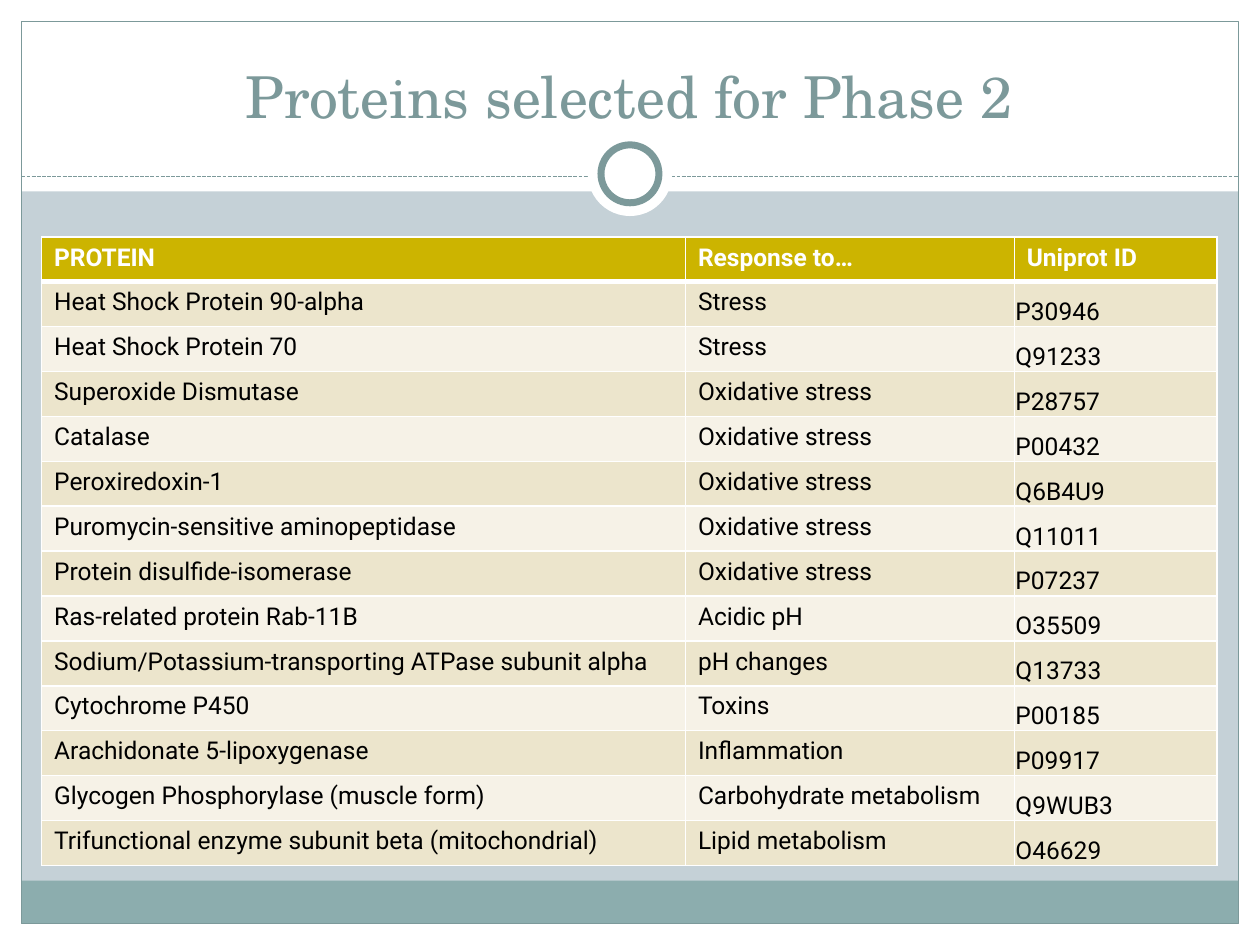
import dataclasses
import typing

import lxml.etree
import pptx
import pptx.dml.color
import pptx.enum.dml
import pptx.enum.shapes
import pptx.enum.text
import pptx.oxml.ns
import pptx.util

WIDTH, HEIGHT = 10, 7.5
WHITE, BLACK, TEAL, GOLD = "FFFFFF", "000000", "7C999A", "CCB400"
BANDS = ("ECE5CC", "F6F2E7")
MARGIN = 0.17
TABLE_LEFT, TABLE_TOP, TABLE_HEIGHT = 0.33, 1.88, 4.99
COLUMN_WIDTHS = (5.11, 2.61, 1.61)
HEADINGS = ("PROTEIN", "Response to…", "Uniprot ID")


class Protein(typing.NamedTuple):
    """A protein, what it responds to and its identifier."""

    name: str
    response: str
    uniprot_id: str


@dataclasses.dataclass(frozen=True)
class Panel:
    """A decorative shape, measured in inches."""

    left: float
    top: float
    width: float
    height: float
    fill: str | None = WHITE
    line: str | None = None
    weight: float = 0.75
    kind: pptx.enum.shapes.MSO_SHAPE = pptx.enum.shapes.MSO_SHAPE.RECTANGLE


def medallion(diameter: float, middle: float, line: str | None = None) -> Panel:
    """Return a white circle centred across the slide."""
    return Panel((WIDTH - diameter) / 2, middle - diameter / 2, diameter, diameter,
                 line=line, weight=4, kind=pptx.enum.shapes.MSO_SHAPE.OVAL)


PROTEINS = (
    Protein("Heat Shock Protein 90-alpha", "Stress", "P30946"),
    Protein("Heat Shock Protein 70", "Stress", "Q91233"),
    Protein("Superoxide Dismutase", "Oxidative stress", "P28757"),
    Protein("Catalase", "Oxidative stress", "P00432"),
    Protein("Peroxiredoxin-1", "Oxidative stress", "Q6B4U9"),
    Protein("Puromycin-sensitive aminopeptidase", "Oxidative stress", "Q11011"),
    Protein("Protein disulfide-isomerase", "Oxidative stress", "P07237"),
    Protein("Ras-related protein Rab-11B", "Acidic pH", "O35509"),
    Protein("Sodium/Potassium-transporting ATPase subunit alpha", "pH changes", "Q13733"),
    Protein("Cytochrome P450", "Toxins", "P00185"),
    Protein("Arachidonate 5-lipoxygenase", "Inflammation", "P09917"),
    Protein("Glycogen Phosphorylase (muscle form)", "Carbohydrate metabolism", "Q9WUB3"),
    Protein("Trifunctional enzyme subunit beta (mitochondrial)", "Lipid metabolism", "O46629"),
)

INNER_WIDTH, INNER_HEIGHT = WIDTH - 2 * MARGIN, HEIGHT - 2 * MARGIN
BACKDROP = (
    Panel(0, HEIGHT - MARGIN, WIDTH, MARGIN),
    Panel(0, 0, WIDTH, 1.52),
    Panel(0, 0, MARGIN, HEIGHT),
    Panel(WIDTH - MARGIN, 0, MARGIN, HEIGHT),
    Panel(MARGIN, 6.99, INNER_WIDTH, 0.34, fill="8CADAE"),
    Panel(MARGIN, MARGIN, INNER_WIDTH, INNER_HEIGHT, fill=None, line=TEAL),
)
MEDALLIONS = (medallion(0.67, 1.38), medallion(0.46, 1.38, TEAL))


def rgb(colour: str) -> pptx.dml.color.RGBColor:
    """Turn a hex string into a colour."""
    return pptx.dml.color.RGBColor.from_string(colour)


def paint(fill, colour: str | None) -> None:
    """Fill with a solid colour, or with nothing."""
    if colour is None:
        fill.background()
    else:
        fill.solid()
        fill.fore_color.rgb = rgb(colour)


def draw_panel(slide, panel: Panel) -> None:
    """Draw one decorative shape."""
    box = map(pptx.util.Inches, (panel.left, panel.top, panel.width, panel.height))
    shape = slide.shapes.add_shape(panel.kind, *box)
    shape.shadow.inherit = False
    paint(shape.fill, panel.fill)
    paint(shape.line.fill, panel.line)
    if panel.line:
        shape.line.width = pptx.util.Pt(panel.weight)


def draw_divider(slide) -> None:
    """Draw the dashed line below the title."""
    ends = map(pptx.util.Inches, (MARGIN, 1.4, WIDTH - MARGIN, 1.4))
    divider = slide.shapes.add_connector(pptx.enum.shapes.MSO_CONNECTOR.STRAIGHT, *ends)
    paint(divider.line.fill, TEAL)
    divider.line.width = pptx.util.Pt(0.75)
    divider.line.dash_style = pptx.enum.dml.MSO_LINE.SQUARE_DOT
    properties = divider._element.spPr
    lxml.etree.SubElement(properties, pptx.oxml.ns.qn("a:effectLst"))


def add_text(frame, text: str, font_name: str, size: float, colour: str,
             bold: bool = False) -> None:
    """Put one formatted run into the first paragraph."""
    run = frame.paragraphs[0].add_run()
    run.text = text
    run.font.name = font_name
    run.font.size = pptx.util.Pt(size)
    run.font.bold = bold
    run.font.color.rgb = rgb(colour)


def write_title(slide) -> None:
    """Place the title in front of the backdrop."""
    title = slide.shapes.title
    title.left, title.top, title.width, title.height = map(
        pptx.util.Inches, (TABLE_LEFT, 0.25, sum(COLUMN_WIDTHS), 0.83))
    frame = title.text_frame
    frame.word_wrap = True
    frame.auto_size = pptx.enum.text.MSO_AUTO_SIZE.NONE
    frame.vertical_anchor = pptx.enum.text.MSO_ANCHOR.BOTTOM
    frame.paragraphs[0].alignment = pptx.enum.text.PP_ALIGN.CENTER
    add_text(frame, "Proteins selected for Phase 2", "TeX Gyre Schola", 33, TEAL)
    slide.shapes._spTree.append(title._element)


def add_border(cell, side: str, weight: float) -> None:
    """Give one side of a cell a white border."""
    properties = cell._tc.get_or_add_tcPr()
    border = lxml.etree.SubElement(properties, pptx.oxml.ns.qn(f"a:{side}"),
                                   w=str(pptx.util.Pt(weight)))
    solid = lxml.etree.SubElement(border, pptx.oxml.ns.qn("a:solidFill"))
    lxml.etree.SubElement(solid, pptx.oxml.ns.qn("a:srgbClr"), val=WHITE)


def fill_cell(cell, text: str, row: int, column: int) -> None:
    """Write and format one table cell."""
    heading = row == 0
    thick_side = {0: "lnB", 1: "lnT"}.get(row)
    for side in ("lnL", "lnR", "lnT", "lnB"):
        add_border(cell, side, 3 if side == thick_side else 1)
    paint(cell.fill, GOLD if heading else BANDS[(row - 1) % 2])
    if column == 2 and not heading:
        cell.vertical_anchor = pptx.enum.text.MSO_ANCHOR.BOTTOM
        cell.margin_left = cell.margin_right = cell.margin_top = pptx.util.Inches(0.01)
        cell.margin_bottom = 0
    add_text(cell.text_frame, text, "Roboto", 14, WHITE if heading else BLACK, heading)


def draw_table(slide) -> None:
    """Build the protein table with equal rows."""
    rows = (HEADINGS, *PROTEINS)
    box = map(pptx.util.Inches, (TABLE_LEFT, TABLE_TOP, sum(COLUMN_WIDTHS), TABLE_HEIGHT))
    table = slide.shapes.add_table(len(rows), len(HEADINGS), *box).table
    for column, width in zip(table.columns, COLUMN_WIDTHS):
        column.width = pptx.util.Inches(width)
    for row, texts in enumerate(rows):
        table.rows[row].height = pptx.util.Inches(TABLE_HEIGHT / len(rows))
        for column, text in enumerate(texts):
            fill_cell(table.cell(row, column), text, row, column)


def main() -> None:
    """Build and save the slide."""
    deck = pptx.Presentation()
    deck.slide_width, deck.slide_height = map(pptx.util.Inches, (WIDTH, HEIGHT))
    slide = deck.slides.add_slide(deck.slide_layouts.get_by_name("Title Only"))
    paint(slide.background.fill, "C5D1D7")
    for panel in BACKDROP:
        draw_panel(slide, panel)
    draw_divider(slide)
    for circle in MEDALLIONS:
        draw_panel(slide, circle)
    write_title(slide)
    draw_table(slide)
    deck.save("out.pptx")


if __name__ == "__main__":
    main()
